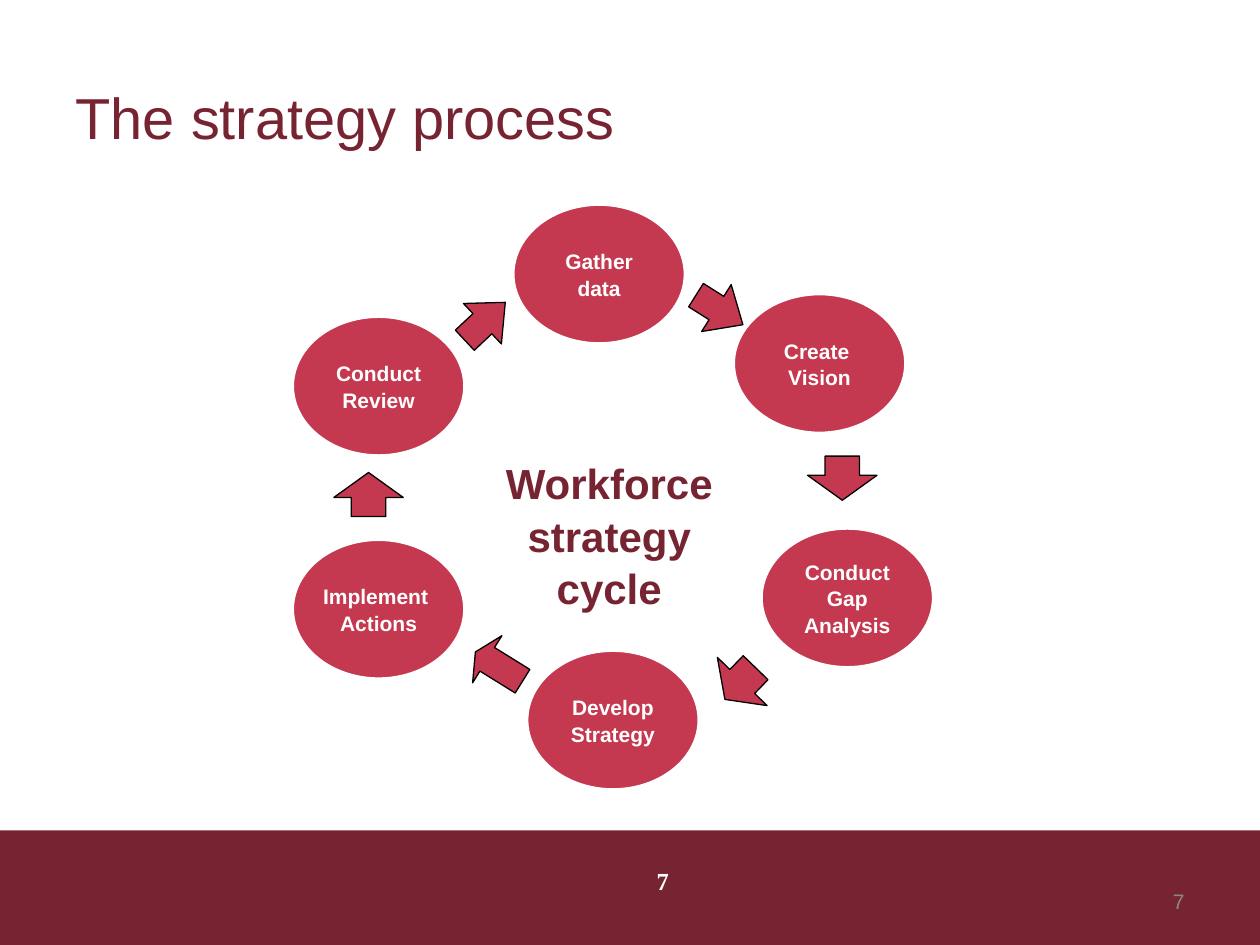
import pptx
import pptx.util
import pptx.dml.color
import pptx.enum.shapes
import pptx.enum.text

PX = 9144
SHAPE = pptx.enum.shapes.MSO_SHAPE
ALIGN = pptx.enum.text.PP_ALIGN
ANCHOR = pptx.enum.text.MSO_ANCHOR
DARK, RED, WHITE, BLACK, GREY = "772432", "C53950", "FFFFFF", "000000", "898989"


def rgb(value):
    return pptx.dml.color.RGBColor.from_string(value)


def emu(*lengths):
    return [pptx.util.Emu(n * PX) for n in lengths]


def write(sp, lines, size, color, align=ALIGN.CENTER, bold=True, font="Arial",
          anchor=ANCHOR.MIDDLE, wrap=True, spacing=None):
    tf = sp.text_frame
    tf.word_wrap = wrap
    tf.auto_size = pptx.enum.text.MSO_AUTO_SIZE.NONE
    tf.vertical_anchor = anchor
    for i, line in enumerate(lines):
        p = tf.add_paragraph() if i else tf.paragraphs[0]
        p.alignment = align
        p.line_spacing = spacing
        r = p.add_run()
        r.text = line
        r.font.name = font
        r.font.size = pptx.util.Pt(size)
        r.font.bold = bold
        r.font.color.rgb = rgb(color)


def add_shape(s, kind, box, fill, line=None, weight=0):
    sp = s.shapes.add_shape(kind, *emu(*box))
    sp.shadow.inherit = False
    sp.fill.solid()
    sp.fill.fore_color.rgb = rgb(fill)
    if line:
        sp.line.color.rgb = rgb(line)
        sp.line.width = pptx.util.Pt(weight)
    else:
        sp.line.fill.background()
    return sp


def add_title(s, box):
    sp = s.shapes.title
    sp.left, sp.top, sp.width, sp.height = emu(*box)
    write(sp, ["The strategy process"], 33, DARK, ALIGN.LEFT, bold=False)


def add_footer(s, box):
    x, y, w, h = box
    add_shape(s, SHAPE.RECTANGLE, box, DARK)
    corner = s.shapes.add_textbox(*emu(x + w - 283, y + 36, 233, 40))
    write(corner, ["7"], 12, GREY, ALIGN.RIGHT, bold=False)
    middle = s.shapes.add_textbox(*emu(x + 484, y + 23, 84, 52))
    write(middle, ["7"], 14, WHITE, font="Times New Roman", anchor=ANCHOR.TOP)


def add_cycle(s, box):
    x, y, w, h = box
    steps = [
        (175, 0, ["Gather", "data"]),
        (350, 71, ["Create ", "Vision"]),
        (372, 257, ["Conduct", "Gap", "Analysis"]),
        (186, 354, ["Develop", "Strategy"]),
        (0, 266, ["Implement ", "Actions"]),
        (0, 89, ["Conduct", "Review"]),
    ]
    for dx, dy, lines in steps:
        sp = add_shape(s, SHAPE.OVAL, (x + dx, y + dy, 137, 111), RED, WHITE, 2)
        write(sp, lines, 12, WHITE, wrap=False, spacing=1.05)

    broad, narrow = (0.498, 0.564), (0.5, 0.25)
    arrows = [
        (317, 62, 44, 44, 32.2, broad),
        (419, 190, 35, 55, 90, broad),
        (338, 353, 35, 55, 134.1, broad),
        (142, 345, 44, 44, 211.8, narrow),
        (43, 203, 35, 55, 270, broad),
        (131, 71, 44, 44, 316.9, broad),
    ]
    for dx, dy, aw, ah, angle, adjust in arrows:
        sp = add_shape(s, SHAPE.RIGHT_ARROW, (x + dx, y + dy, aw, ah), RED, BLACK, 0.75)
        sp.rotation = angle
        sp.adjustments[0], sp.adjustments[1] = adjust

    tb = s.shapes.add_textbox(*emu(x + 142, y + 195, 219, 130))
    write(tb, ["Workforce strategy cycle"], 24, DARK, anchor=ANCHOR.TOP, spacing=1.04)


def main():
    prs = pptx.Presentation()
    prs.slide_width, prs.slide_height = emu(1000, 750)
    s = prs.slides.add_slide(prs.slide_layouts[5])
    add_footer(s, (0, 659, 1000, 91))
    add_title(s, (50, 30, 552, 125))
    add_cycle(s, (232, 162, 509, 465))
    prs.save("out.pptx")


if __name__ == "__main__":
    main()
